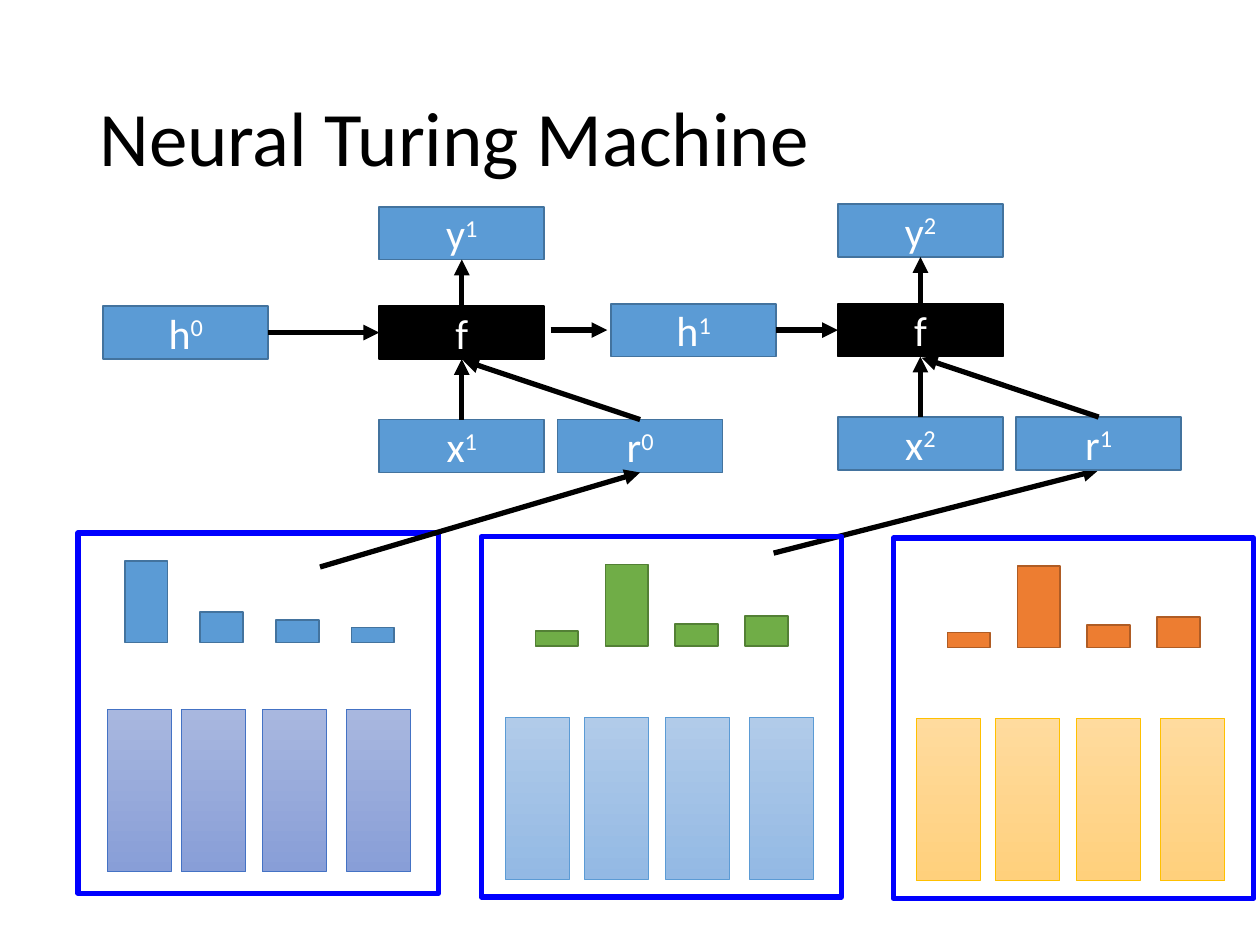
from dataclasses import dataclass

from lxml import etree
from pptx import Presentation, util as u
from pptx.dml import color
from pptx.enum import shapes, text
from pptx.oxml import ns


@dataclass(frozen=True)
class Theme:
    font: str = "Calibri"
    title_size: int = 44
    node_size: int = 24
    black: str = "000000"
    white: str = "FFFFFF"
    frame: str = "0000FF"
    node: tuple = ("5B9BD5", "43739E")
    thick: float = 3
    medium: float = 1
    thin: float = 0.5


THEME = Theme()
COLUMNS = 100
CELL = u.Inches(10) // COLUMNS
TITLE = "Neural Turing Machine"
TITLE_AREA = (6.9, 4, 86.2, 14.5)

NODE_WIDTH, NODE_HEIGHT = 13.1, 4.2
OUTPUT_RISE, INPUT_DROP, READ_SHIFT = 7.9, 9, 14.15
STEPS = [
    {"left": 30.1, "top": 24.3, "output": "1", "input": "1", "read": "0",
     "state": "0", "state_left": 8.2, "bank_exit": (25.4, 45)},
    {"left": 66.5, "top": 24.1, "output": "2", "input": "2", "read": "1",
     "state": "1", "state_left": 48.5, "bank_exit": (61.4, 43.9)},
]
STATE_ARROW = (43.7, 26.2, 48.2, 26.2)

BANK_SIZE, BAR_WIDTH, BAR_BASE = 28.6, 3.4, 8.7
SLOT_WIDTH, SLOT_HEIGHT = 5.1, 12.9
BANKS = [
    {"left": 6.2, "top": 42.3, "bars": (6.5, 2.4, 1.8, 1.2), "bar_start": 3.7,
     "bar_pitch": 6, "bar_colors": THEME.node, "slots": (2.3, 8.2, 14.6, 21.3),
     "slot_top": 14, "slot_colors": ("A8B7DF", "889ED7", "4472C4")},
    {"left": 38.2, "top": 42.6, "bars": (1.2, 6.5, 1.8, 2.4), "bar_start": 4.3,
     "bar_pitch": 5.55, "bar_colors": ("70AD47", "538035"), "slots": (1.9, 8.2, 14.6, 21.3),
     "slot_top": 14.3, "slot_colors": ("B1CBE9", "93B9E4", "5B9BD5")},
    {"left": 70.9, "top": 42.7, "bars": (1.2, 6.5, 1.8, 2.4), "bar_start": 4.3,
     "bar_pitch": 5.55, "bar_colors": ("ED7D31", "AF5C24"), "slots": (1.8, 8.1, 14.5, 21.2),
     "slot_top": 14.3, "slot_colors": ("FFDB9E", "FFD07C", "FFC000")},
]


def rgb(value):
    return color.RGBColor.from_string(value)


def grid(*cells):
    return [round(cell * CELL) for cell in cells]


def apply(target, formats):
    for name, value in formats.items():
        setattr(target, name, value)


def write(paragraph, content, size, tint, raised=False):
    run = paragraph.add_run()
    run.text = content
    apply(run.font, {"name": THEME.font, "size": u.Pt(size)})
    run.font.color.rgb = rgb(tint)
    if raised:
        run.font._element.set("baseline", "30000")


def add_box(slide, area, fills, outline, weight):
    shape = slide.shapes.add_shape(shapes.MSO_SHAPE.RECTANGLE, *grid(*area))
    shape.shadow.inherit = False
    if not fills:
        shape.fill.background()
    elif len(fills) == 1:
        shape.fill.solid()
        shape.fill.fore_color.rgb = rgb(fills[0])
    else:
        shape.fill.gradient()
        shape.fill.gradient_angle = 270
        for stop, tint in zip(shape.fill.gradient_stops, fills):
            stop.color.rgb = rgb(tint)
    shape.line.color.rgb = rgb(outline)
    shape.line.width = u.Pt(weight)
    return shape


def add_node(slide, left, top, label, index="", colors=THEME.node):
    fill, outline = colors
    area = (left, top, NODE_WIDTH, NODE_HEIGHT)
    shape = add_box(slide, area, [fill], outline, THEME.medium)
    shape.text_frame.vertical_anchor = text.MSO_ANCHOR.MIDDLE
    paragraph = shape.text_frame.paragraphs[0]
    paragraph.alignment = text.PP_ALIGN.CENTER
    write(paragraph, label, THEME.node_size, THEME.white)
    if index:
        write(paragraph, index, THEME.node_size, THEME.white, raised=True)


def add_arrow(slide, *ends):
    connector = slide.shapes.add_connector(shapes.MSO_CONNECTOR.STRAIGHT, *grid(*ends))
    connector.line.color.rgb = rgb(THEME.black)
    connector.line.width = u.Pt(THEME.thick)
    properties = connector._element.spPr
    etree.SubElement(properties.find(ns.qn("a:ln")), ns.qn("a:tailEnd"), type="triangle")
    etree.SubElement(properties, ns.qn("a:effectLst"))


def add_title(slide):
    box = slide.shapes.add_textbox(*grid(*TITLE_AREA))
    apply(box.text_frame, {"word_wrap": True, "vertical_anchor": text.MSO_ANCHOR.MIDDLE})
    paragraph = box.text_frame.paragraphs[0]
    paragraph.line_spacing = 0.9
    write(paragraph, TITLE, THEME.title_size, THEME.black)


def add_bank(slide, bank):
    left, top = bank["left"], bank["top"]
    add_box(slide, (left, top, BANK_SIZE, BANK_SIZE), [], THEME.frame, THEME.thick)
    fill, outline = bank["bar_colors"]
    for index, height in enumerate(bank["bars"]):
        bar_left = left + bank["bar_start"] + index * bank["bar_pitch"]
        area = (bar_left, top + BAR_BASE - height, BAR_WIDTH, height)
        add_box(slide, area, [fill], outline, THEME.medium)
    *fills, outline = bank["slot_colors"]
    for offset in bank["slots"]:
        area = (left + offset, top + bank["slot_top"], SLOT_WIDTH, SLOT_HEIGHT)
        add_box(slide, area, fills, outline, THEME.thin)


def add_step(slide, step):
    left, top = step["left"], step["top"]
    center, middle = left + NODE_WIDTH / 2, top + NODE_HEIGHT / 2
    bottom, input_top = top + NODE_HEIGHT, top + INPUT_DROP
    output_top = top - OUTPUT_RISE
    add_node(slide, left, output_top, "y", step["output"])
    add_node(slide, left, top, "f", colors=(THEME.black, THEME.black))
    add_node(slide, step["state_left"], top, "h", step["state"])
    add_node(slide, left, input_top, "x", step["input"])
    add_node(slide, left + READ_SHIFT, input_top, "r", step["read"])
    add_arrow(slide, step["state_left"] + NODE_WIDTH, middle, left, middle)
    add_arrow(slide, center + READ_SHIFT, input_top, center + 0.1, bottom + 0.1)
    add_arrow(slide, center, top, center, output_top + NODE_HEIGHT)
    add_arrow(slide, center, input_top, center, bottom)


def add_read_arrow(slide, step):
    add_arrow(slide, *step["bank_exit"], step["left"] + READ_SHIFT + NODE_WIDTH / 2,
              step["top"] + INPUT_DROP + NODE_HEIGHT)


def main():
    presentation = Presentation()
    apply(presentation, {"slide_width": COLUMNS * CELL, "slide_height": 75 * CELL})
    slide = presentation.slides.add_slide(presentation.slide_layouts[6])
    first_step, second_step = STEPS
    add_title(slide)
    add_read_arrow(slide, second_step)
    for bank in BANKS:
        add_bank(slide, bank)
    for step in STEPS:
        add_step(slide, step)
    add_arrow(slide, *STATE_ARROW)
    add_read_arrow(slide, first_step)
    presentation.save("out.pptx")


if __name__ == "__main__":
    main()
